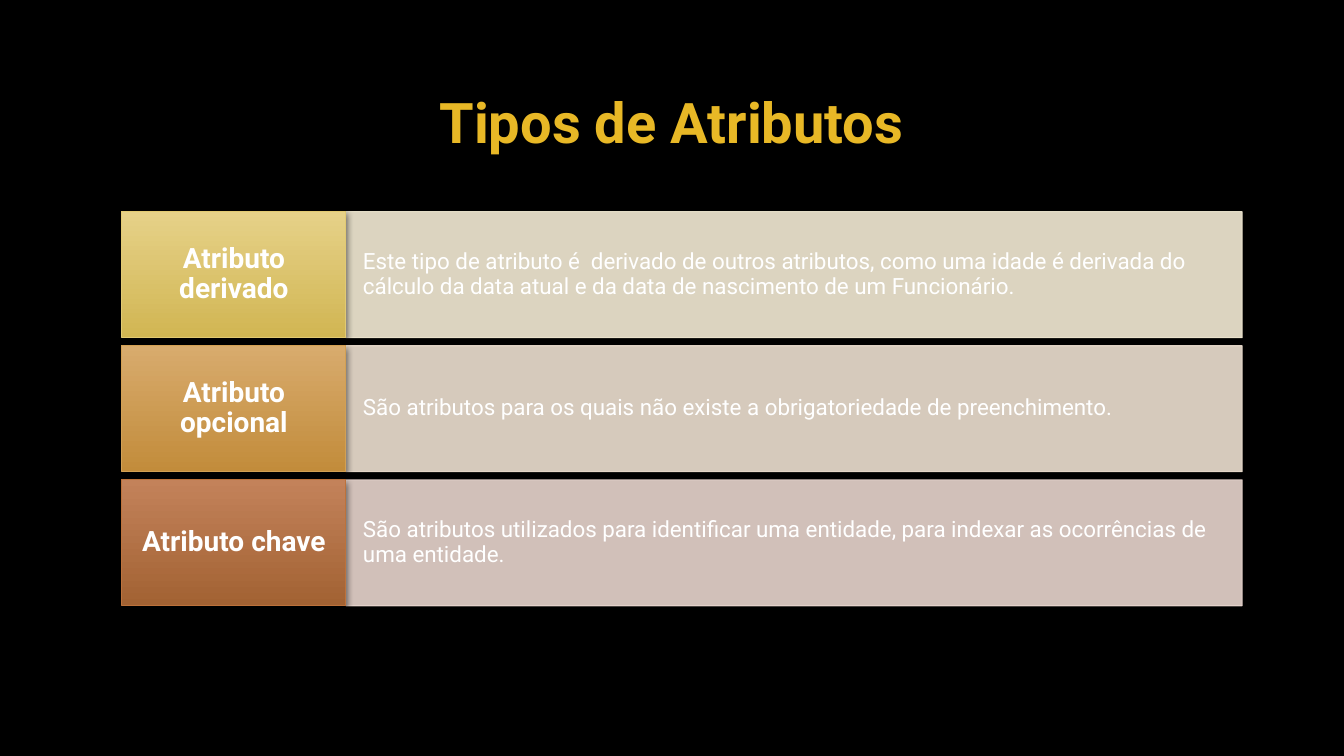
from lxml import etree
from pptx import Presentation
from pptx.dml.color import RGBColor
from pptx.enum import shapes, text
from pptx.oxml import parse_xml
from pptx.oxml.ns import nsdecls, qn
from pptx.util import Inches, Pt

TITLE = "Tipos de Atributos"
# label, description, gradient top, gradient bottom, label border, description fill
ATTRIBUTES = [
    ("Atributo derivado",
     "Este tipo de atributo é  derivado de outros atributos, como uma idade é derivada do "
     "cálculo da data atual e da data de nascimento de um Funcionário.",
     "E6D188", "D1B653", "E2CA72", "F4ECD5"),
    ("Atributo opcional",
     "São atributos para os quais não existe a obrigatoriedade de preenchimento.",
     "D8AB6D", "C28C3B", "D3A053", "EEE0D1"),
    ("Atributo chave",
     "São atributos utilizados para identificar uma entidade, para indexar as ocorrências de "
     "uma entidade.",
     "C3825A", "A26233", "BD723B", "E8D5CE"),
]
LEFT, TOP, ROW_HEIGHT, ROW_PITCH = 1.21, 2.1, 1.25, 1.33
LABEL_WIDTH, DESCRIPTION_WIDTH = 2.22, 8.89


def color(value):
    return RGBColor.from_string(value)


def set_alpha(fill_parent, percent):
    """Make the solid fill directly under the given element translucent."""
    rgb = fill_parent.find(qn("a:solidFill")).find(qn("a:srgbClr"))
    etree.SubElement(rgb, qn("a:alpha")).set("val", str(percent * 1000))


def write(shape, content, size, font_color, bold, align, margins, spacing):
    frame = shape.text_frame
    frame.text = content
    frame.word_wrap = True
    frame.vertical_anchor = text.MSO_ANCHOR.MIDDLE
    frame.margin_left = frame.margin_right = Inches(margins[0])
    frame.margin_top = frame.margin_bottom = Inches(margins[1])
    paragraph = frame.paragraphs[0]
    paragraph.alignment = align
    paragraph.line_spacing = spacing
    font = paragraph.runs[0].font
    font.name, font.size, font.bold = "Roboto", Pt(size), bold
    font.color.rgb = color(font_color)
    return font


def add_box(slide, left, top, width, border):
    box = slide.shapes.add_shape(shapes.MSO_SHAPE.RECTANGLE, Inches(left), Inches(top),
                                 Inches(width), Inches(ROW_HEIGHT))
    box.shadow.inherit = False
    box.line.color.rgb = color(border)
    box.line.width = Pt(0.75)
    return box


def add_label(slide, top, label, gradient, border):
    box = add_box(slide, LEFT, top, LABEL_WIDTH, border)
    box.fill.gradient()
    box.fill.gradient_angle = 270
    for stop, shade in zip(box.fill.gradient_stops, gradient):
        stop.color.rgb = color(shade)
    effects = box._element.spPr.find(qn("a:effectLst"))
    effects.append(parse_xml(
        f'<a:outerShdw {nsdecls("a")} blurRad="{Pt(5)}" dist="{Pt(2)}" dir="5400000" '
        'algn="ctr" rotWithShape="0"><a:srgbClr val="000000"><a:alpha val="60000"/>'
        '</a:srgbClr></a:outerShdw>'))
    write(box, label, 20, "FFFFFF", True, text.PP_ALIGN.CENTER, (0.12, 0.12), 0.9)


def add_description(slide, top, description, tint):
    box = add_box(slide, LEFT + LABEL_WIDTH, top, DESCRIPTION_WIDTH, tint)
    box.fill.solid()
    box.fill.fore_color.rgb = color(tint)
    properties = box._element.spPr
    for fill_parent in (properties, properties.find(qn("a:ln"))):
        set_alpha(fill_parent, 90)
    write(box, description, 16, "FFFFFF", False, text.PP_ALIGN.LEFT, (0.17, 0.32), 0.9)


def add_title(slide):
    title = slide.shapes.add_textbox(Inches(1), Inches(0.67), Inches(11.32), Inches(1.06))
    font = write(title, TITLE, 40, "E8B826", True, text.PP_ALIGN.CENTER, (0.1, 0.05), 1.0)
    font._element.insert(0, parse_xml(
        f'<a:ln {nsdecls("a")} w="{Pt(0.75)}"><a:solidFill><a:srgbClr val="404040">'
        '<a:alpha val="10000"/></a:srgbClr></a:solidFill></a:ln>'))


def main():
    deck = Presentation()
    deck.slide_width, deck.slide_height = Inches(13.33), Inches(7.5)
    slide = deck.slides.add_slide(deck.slide_layouts[6])
    slide.background.fill.solid()
    slide.background.fill.fore_color.rgb = color("000000")

    add_title(slide)
    for row, (label, description, light, dark, border, tint) in enumerate(ATTRIBUTES):
        top = TOP + row * ROW_PITCH
        add_description(slide, top, description, tint)
        add_label(slide, top, label, (light, dark), border)
    deck.save("out.pptx")


if __name__ == "__main__":
    main()
